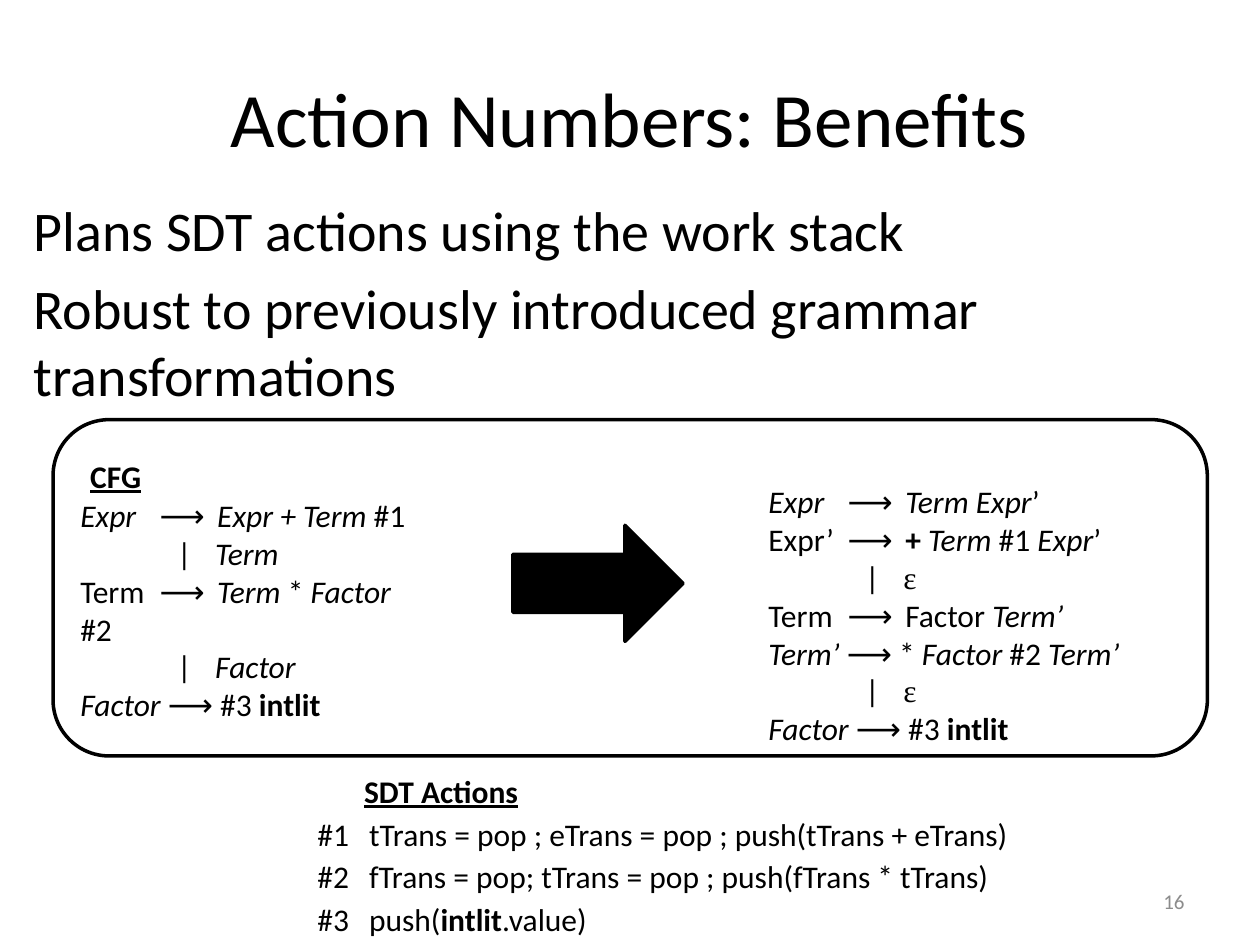
from lxml.etree import SubElement
from pptx import Presentation
from pptx.dml.color import RGBColor
from pptx.enum.shapes import MSO_SHAPE
from pptx.enum.text import MSO_ANCHOR, PP_ALIGN
from pptx.oxml.ns import qn
from pptx.util import Cm, Pt

BLACK = RGBColor(0x00, 0x00, 0x00)
WHITE = RGBColor(0xFF, 0xFF, 0xFF)
GREY = RGBColor(0x8C, 0x8C, 0x8C)

RULE_STOPS = (1.6, 2.76)
ALTERNATIVE_STOPS = (1.95, 2.72)

STYLES = {
    "plain": {},
    "italic": {"italic": True},
    "bold": {"bold": True},
    "heading": {"bold": True, "underline": True},
    "greek": {"name": "Times New Roman"},
}

CFG_RULES = [
    [("Expr", "italic"), ("\t⟶\t", "plain"), ("Expr + Term ", "italic"), ("#1", "plain")],
    [("\t|\t", "plain"), ("Term", "italic")],
    [("Term\t⟶\t", "plain"), ("Term", "italic"), (" * ", "plain"),
     ("Factor ", "italic"), ("#2", "plain")],
    [("\t|\t", "plain"), ("Factor", "italic")],
    [("Factor ", "italic"), ("⟶ #3 ", "plain"), ("intlit", "bold")],
]
TRANSFORMED_RULES = [
    [("Expr", "italic"), ("\t⟶\t", "plain"), ("Term Expr", "italic"), ("’", "plain")],
    [("Expr’\t⟶\t", "plain"), ("+ ", "bold"), ("Term ", "italic"), ("#1 ", "plain"),
     ("Expr", "italic"), ("’", "plain")],
    [("\t|\t", "plain"), ("ε", "greek")],
    [("Term\t⟶\tFactor ", "plain"), ("Term’", "italic")],
    [("Term’ ", "italic"), ("⟶ * ", "plain"), ("Factor ", "italic"), ("#2", "plain"),
     (" Term’", "italic")],
    [("\t|\t", "plain"), ("ε", "greek")],
    [("Factor ", "italic"), ("⟶ #3 ", "plain"), ("intlit", "bold")],
]
ACTIONS = [
    [("tTrans = pop ; eTrans = pop ; push(tTrans + eTrans)", "plain")],
    [("fTrans = pop; tTrans = pop ; push(fTrans * tTrans)", "plain")],
    [("push(", "plain"), ("intlit", "bold"), (".value)", "plain")],
]


def apply_format(target, values):
    for attribute, value in values.items():
        setattr(target, attribute, value)


def place(element, left, top, width, height):
    apply_format(element, {"left": Cm(left), "top": Cm(top),
                           "width": Cm(width), "height": Cm(height)})


def add_runs(paragraph, runs, size, color=BLACK):
    for text, style in runs:
        run = paragraph.add_run()
        run.text = text
        apply_format(run.font, {"name": "Calibri", "size": Pt(size), **STYLES[style]})
        run.font.color.rgb = color


def set_tab_stops(paragraph, stops):
    tab_list = SubElement(paragraph._p.get_or_add_pPr(), qn("a:tabLst"))
    for stop in stops:
        SubElement(tab_list, qn("a:tab"), pos=str(int(Cm(stop))), algn="l")


def add_text(shapes, box, lines, size=18, color=BLACK, anchor=MSO_ANCHOR.TOP, **layout):
    frame = shapes.add_textbox(*map(Cm, box)).text_frame
    apply_format(frame, {"word_wrap": True, "vertical_anchor": anchor})
    for index, runs in enumerate(lines):
        paragraph = frame.add_paragraph() if index else frame.paragraphs[0]
        apply_format(paragraph, layout)
        add_runs(paragraph, runs, size, color)
    return frame


def add_grammar(shapes, box, rules):
    frame = add_text(shapes, box, rules)
    for paragraph, rule in zip(frame.paragraphs, rules):
        is_alternative = rule[0][0].startswith("\t")
        set_tab_stops(paragraph, ALTERNATIVE_STOPS if is_alternative else RULE_STOPS)


def add_outlined(shapes, kind, box, fill):
    outlined = shapes.add_shape(kind, *map(Cm, box))
    outlined.shadow.inherit = False
    outlined.fill.solid()
    outlined.fill.fore_color.rgb = fill
    outlined.line.color.rgb = BLACK
    outlined.line.width = Pt(2)


def add_actions(shapes):
    add_text(shapes, (7.09, 15.44, 3.9, 1.02), [[("SDT Actions", "heading")]])
    for index, action in enumerate(ACTIONS):
        top = 16.31 + 0.85 * index
        add_text(shapes, (6.15, top, 1.25, 1.02), [[(f"#{index + 1}", "plain")]])
        add_text(shapes, (7.19, top, 13.8, 1.02), [action])


def main():
    presentation = Presentation()
    apply_format(presentation, {"slide_width": Cm(25.4), "slide_height": Cm(19.05)})
    slide = presentation.slides.add_slide(presentation.slide_layouts[5])
    shapes = slide.shapes

    title = shapes.title
    place(title, 1.27, 0.76, 22.86, 3.18)
    title.text_frame.vertical_anchor = MSO_ANCHOR.MIDDLE
    heading = title.text_frame.paragraphs[0]
    heading.alignment = PP_ALIGN.CENTER
    add_runs(heading, [("Action Numbers: Benefits", "plain")], 44)

    add_outlined(shapes, MSO_SHAPE.ROUNDED_RECTANGLE, (1.07, 8.46, 23.27, 6.78), WHITE)
    add_text(shapes, (0.43, 3.81, 24.54, 5.08), [
        [("Plans SDT actions using the work stack", "plain")],
        [("Robust to previously introduced grammar transformations", "plain")],
    ], size=32, space_before=Pt(6.4))
    add_text(shapes, (18.21, 17.65, 5.92, 1.02), [[("16", "plain")]], size=12,
             color=GREY, anchor=MSO_ANCHOR.MIDDLE, alignment=PP_ALIGN.RIGHT)

    add_grammar(shapes, (1.37, 9.88, 7.4, 4.11), CFG_RULES)
    add_text(shapes, (1.57, 9.09, 1.8, 1.02), [[("CFG", "heading")]])
    add_actions(shapes.add_group_shape().shapes)
    add_outlined(shapes, MSO_SHAPE.RIGHT_ARROW, (10.34, 10.59, 3.43, 2.34), BLACK)
    add_grammar(shapes, (15.24, 9.6, 7.9, 5.64), TRANSFORMED_RULES)

    presentation.save("out.pptx")


if __name__ == "__main__":
    main()
